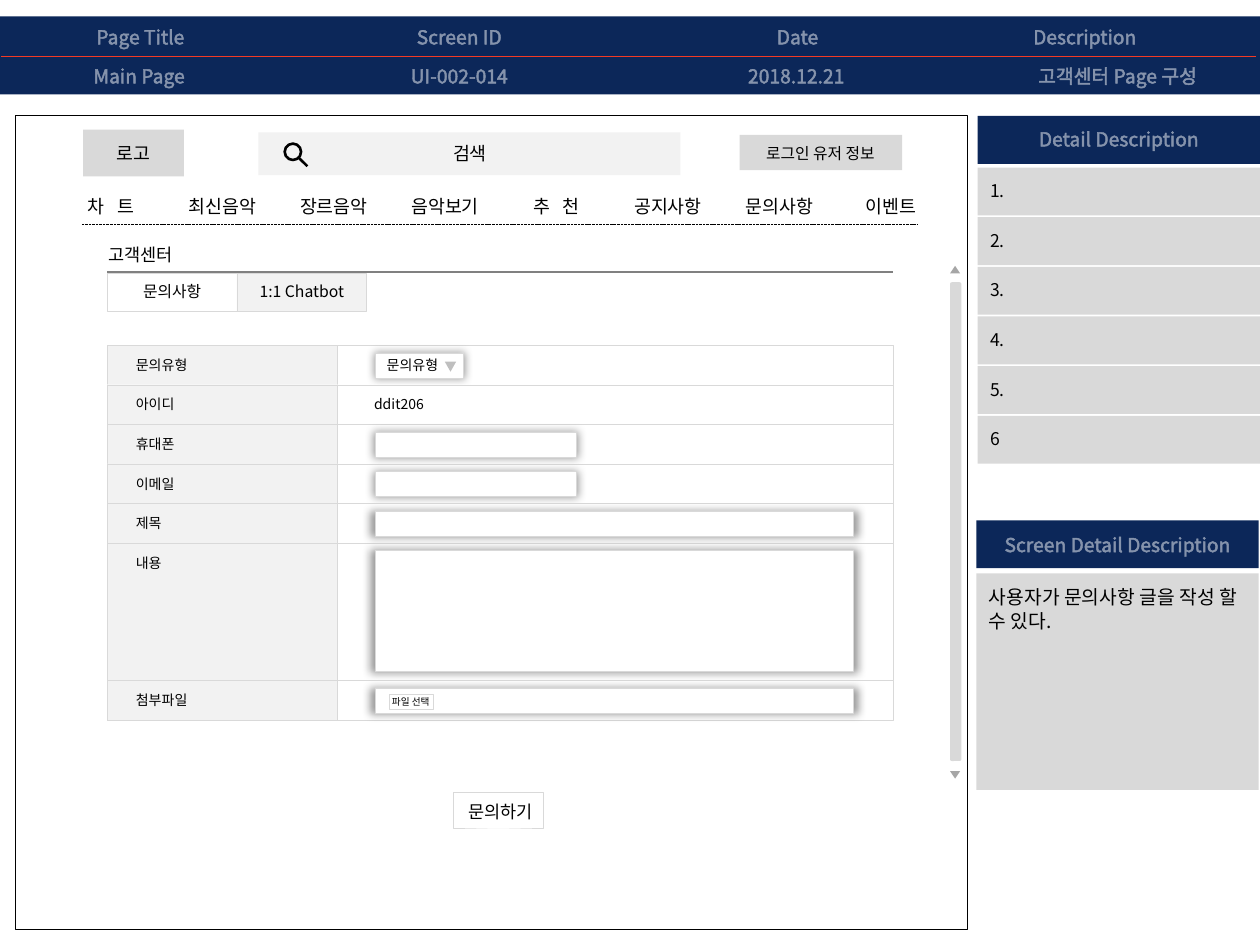
from lxml import etree
from pptx import Presentation
from pptx.dml import color as dml
from pptx.enum import dml as line_styles, shapes, text
from pptx.oxml import ns, parse_xml
from pptx.util import Inches, Pt

FONT = "Noto Sans CJK KR"
COLORS = {
    "navy": "0C2759", "white": "FFFFFF", "black": "000000", "red": "F33A24",
    "panel": "D9D9D9", "pale": "F2F2F2", "rule": "808080",
    "arrow": "A6A6A6", "caret": "BFBFBF",
}
NAMESPACE = ns.nsdecls("a")
TEXT_OUTLINE = (
    f'<a:ln {NAMESPACE} w="9525"><a:solidFill><a:srgbClr val="FFFFFF">'
    '<a:alpha val="50000"/></a:srgbClr></a:solidFill></a:ln>'
)
FIELD_GLOW = (
    f'<a:effectLst {NAMESPACE}><a:outerShdw blurRad="63500" sx="102000" sy="102000" '
    'algn="ctr" rotWithShape="0"><a:prstClr val="black"><a:alpha val="40000"/>'
    '</a:prstClr></a:outerShdw></a:effectLst>'
)
KINDS = shapes.MSO_SHAPE
CENTER, LEFT = text.PP_ALIGN.CENTER, text.PP_ALIGN.LEFT

deck = Presentation()
deck.slide_width, deck.slide_height = Inches(10), Inches(7.5)
page = deck.slides.add_slide(deck.slide_layouts[6])


def add_box(left, top, width, height, fill=None, line=None, weight=0.25,
            kind=KINDS.RECTANGLE, rotation=0, glow=False):
    box = page.shapes.add_shape(kind, *map(Inches, (left, top, width, height)))
    box.rotation = rotation
    box.shadow.inherit = False
    for name, part in ((fill, box.fill), (line, box.line.fill)):
        if name:
            part.solid()
            part.fore_color.rgb = dml.RGBColor.from_string(COLORS[name])
        else:
            part.background()
    if line:
        box.line.width = Pt(weight)
    if glow:
        properties = box._element.spPr
        properties.remove(properties.find(ns.qn("a:effectLst")))
        properties.append(parse_xml(FIELD_GLOW))
    return box


def add_text(words, left, top, width, height, size, color="black", align=CENTER, tracking=0):
    box = page.shapes.add_textbox(*map(Inches, (left, top, width, height)))
    box.text_frame.word_wrap = True
    para = box.text_frame.paragraphs[0]
    para.alignment = align
    span = para.add_run()
    span.text = words
    span.font.color.rgb = dml.RGBColor.from_string(COLORS[color])
    for name, value in {"size": Pt(size), "name": FONT}.items():
        setattr(span.font, name, value)
    properties = span.font._element
    properties.insert(0, parse_xml(TEXT_OUTLINE))
    latin = properties.find(ns.qn("a:latin"))
    latin.addnext(parse_xml(f'<a:ea {NAMESPACE} typeface="{FONT}"/>'))
    if tracking:
        properties.set("spc", str(tracking))


# Header band
add_box(0, 0.13, 10, 0.62, "navy")
for heading, value, heading_area, value_area in (
    ("Page Title", "Main Page", (0.03, 2.17), (0.02, 2.17)),
    ("Screen ID", "UI-002-014", (2.67, 1.95), (2.67, 1.95)),
    ("Date", "2018.12.21", (5.11, 2.44), (5.1, 2.44)),
    ("Description", "고객센터 Page 구성", (8.03, 1.16), (7.98, 1.78)),
):
    for words, (left, width), top in ((heading, heading_area, 0.15), (value, value_area, 0.46)):
        add_text(words, left, top, width, 0.29, 11, "white")

# Detail description panel
add_box(7.76, 0.92, 2.24, 0.38, "navy")
add_text("Detail Description", 8.14, 0.96, 1.48, 0.29, 11, "white")
for index, words in enumerate(("1.", "2.", "3.", "4.", "5.", "6")):
    top = 1.33 + index * 1.97 / 5
    add_box(7.76, top, 2.24, 0.38, "panel")
    add_text(words, 7.76, top + 0.05, 1.48, 0.27, 10, align=LEFT)

# Screen description panel
add_box(7.75, 4.13, 2.24, 0.38, "navy")
add_text("Screen Detail Description", 7.84, 4.18, 2.06, 0.29, 11, "white")
add_box(7.75, 4.55, 2.24, 1.72, "panel")
add_text("사용자가 문의사항 글을 작성 할 수 있다.", 7.75, 4.6, 2.22, 0.47, 11, align=LEFT)

# Screen frame and scroll bar
add_box(0.12, 0.92, 7.56, 6.46, line="black", weight=0.5)
add_box(7.54, 2.24, 0.09, 3.8, "panel", kind=KINDS.ROUNDED_RECTANGLE)
for top, rotation in ((2.11, 0), (6.12, 180)):
    add_box(7.54, top, 0.08, 0.06, "arrow", kind=KINDS.ISOSCELES_TRIANGLE, rotation=rotation)

# Logo slot, search bar and user button
add_box(0.66, 1.03, 0.8, 0.37, "panel")
add_text("로고", 0.68, 1.08, 0.76, 0.29, 10.5)
add_box(2.05, 1.05, 3.35, 0.34, "pale")
add_text("검색", 2.99, 1.08, 1.48, 0.28, 10.5)
add_box(2.26, 1.14, 0.13, 0.13, line="black", weight=1.5, kind=KINDS.OVAL)
add_box(5.87, 1.07, 1.29, 0.28, "panel")
add_text("로그인 유저 정보", 5.9, 1.09, 1.22, 0.25, 9)

# Menu
menu = ("차 트", "최신음악", "장르음악", "음악보기", "추 천", "공지사항", "문의사항", "이벤트")
for index, words in enumerate(menu):
    add_text(words, 0.14 + index * 6.19 / 7, 1.5, 1.48, 0.28, 10.5,
             tracking=240 if " " in words else 0)

# Section title and tabs
add_text("고객센터", 0.76, 1.89, 0.92, 0.27, 10, align=LEFT)
for words, left, fill in (("문의사항", 0.85, "white"), ("1:1 Chatbot", 1.88, "pale")):
    add_box(left, 2.17, 1.03, 0.3, fill, "panel")
    add_text(words, left + 0.01, 2.19, 1.01, 0.25, 9)

# Lines: header rule, search handle, menu rule, section rule
for start_x, start_y, end_x, end_y, color, weight, dash in (
    (0.01, 0.45, 9.97, 0.45, "red", 0.75, None),
    (2.37, 1.25, 2.44, 1.32, "black", 1.5, None),
    (0.65, 1.78, 7.28, 1.78, "black", 0.2, line_styles.MSO_LINE.SQUARE_DOT),
    (0.85, 2.16, 7.09, 2.16, "rule", 1.5, None),
):
    rule = page.shapes.add_connector(
        shapes.MSO_CONNECTOR.STRAIGHT, *map(Inches, (start_x, start_y, end_x, end_y)))
    rule.line.color.rgb = dml.RGBColor.from_string(COLORS[color])
    rule.line.width = Pt(weight)
    if dash:
        rule.line.dash_style = dash
        rule.line._ln.find(ns.qn("a:prstDash")).set("val", "sysDash")
    etree.SubElement(rule._element.spPr, ns.qn("a:effectLst"))

# Inquiry form: label, row height, field width
row_height = 1.57 / 5
top = 2.74
for label, height, field_width in (
    ("문의유형", row_height, 0.7),
    ("아이디", row_height, 0),
    ("휴대폰", row_height, 1.59),
    ("이메일", row_height, 1.59),
    ("제목", row_height, 3.79),
    ("내용", 1.09, 3.79),
    ("첨부파일", row_height, 3.79),
):
    add_box(0.85, top, 6.24, height, "white", "panel")
    add_box(0.85, top, 1.83, height, "pale", "panel")
    add_text(label, 0.98, top + 0.04, 1.01, 0.24, 8, align=LEFT)
    if field_width:
        field_height = 0.2 if height == row_height else 0.96
        add_box(2.98, top + 0.06, field_width, field_height, "white", "panel", glow=True)
    top += height

# Form contents
add_text("문의유형", 2.96, 2.78, 0.63, 0.24, 8)
add_box(3.53, 2.87, 0.09, 0.08, "caret", kind=KINDS.ISOSCELES_TRIANGLE, rotation=180)
add_text("ddit206", 2.87, 3.09, 1.01, 0.24, 8, align=LEFT)
add_box(3.09, 5.51, 0.35, 0.12, "white", "panel")
add_text("파일 선택", 2.97, 5.47, 0.58, 0.19, 5.5)

# Submit button
add_box(3.6, 6.29, 0.71, 0.28, "white", "panel")
add_text("문의하기", 3.58, 6.31, 0.78, 0.25, 10)

deck.save("out.pptx")
